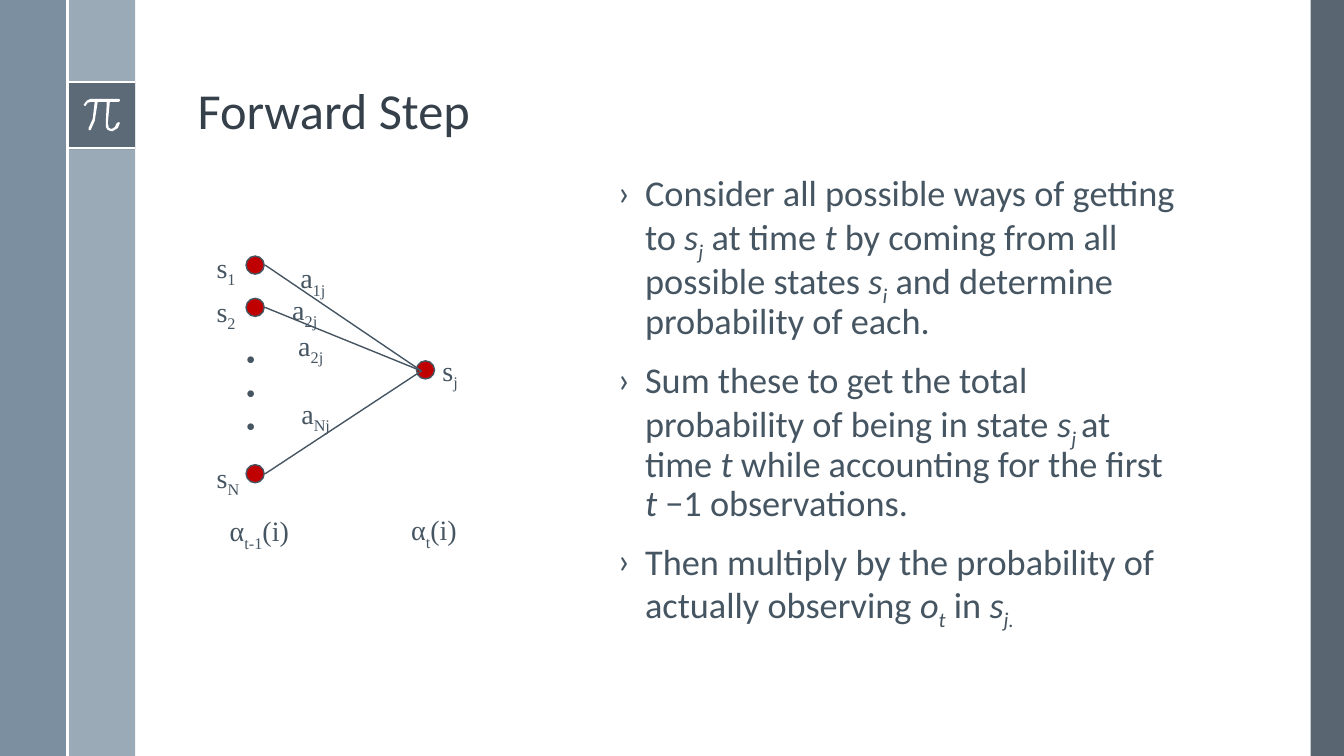
"""Build the Forward Step slide: a state diagram beside three explanatory bullets."""
from dataclasses import dataclass
from typing import NamedTuple, Sequence, Union

from lxml import etree
from pptx import Presentation
from pptx import util as u
from pptx.dml import color
from pptx.enum import shapes, text
from pptx.oxml import ns
from pptx.shapes import shapetree

Shapes = Union[shapetree.SlideShapes, shapetree.GroupShapes]


@dataclass(frozen=True)
class Theme:
    ink: str = "465562"
    heading: str = "35404A"
    slate: str = "475562"
    steel: str = "6A8093"
    mist: str = "9BAAB7"
    white: str = "FFFFFF"
    node: str = "C00000"
    sans: str = "Calibri"
    serif: str = "Times New Roman"
    title_size: float = 36
    body_size: float = 25.9
    label_size: float = 20
    rule_width: float = 1.5
    edge_width: float = 1


class Bar(NamedTuple):
    left: float
    top: float
    width: float
    height: float
    fill: str
    opacity: int


class Rule(NamedTuple):
    x1: float
    y1: float
    x2: float
    y2: float


class Node(NamedTuple):
    x: float
    y: float


class Span(NamedTuple):
    text: str
    italic: bool = False
    sub: bool = False


class Label(NamedTuple):
    left: float
    top: float
    width: float
    base: str
    sub: str
    tail: str = ""


class Style(NamedTuple):
    font: str
    size: float
    ink: str


THEME = Theme()
LABEL_STYLE = Style(THEME.serif, THEME.label_size, THEME.ink)
BODY_STYLE = Style(THEME.sans, THEME.body_size, THEME.ink)
TITLE_STYLE = Style(THEME.sans, THEME.title_size, THEME.heading)

BARS = [
    Bar(13, 0, 0.33, 7.5, THEME.slate, 90),
    Bar(0.67, 0, 0.67, 7.5, THEME.mist, 100),
    Bar(0, 0, 0.67, 7.5, THEME.steel, 88),
    Bar(0.67, 0.81, 0.67, 0.67, THEME.slate, 75),
]
RULES = [Rule(0.67, 0.81, 1.34, 0.81), Rule(0.67, 1.47, 1.34, 1.47), Rule(0.67, 0, 0.67, 7.5)]
PI_OUTLINE = [
    (118, 98), (90, 98), (86, 100), (83, 104), (84, 105), (85, 105), (87, 102), (90, 101),
    (94, 101), (92, 118), (88, 127), (88, 129), (89, 129), (90, 129), (94, 120), (97, 101),
    (106, 101), (105, 122), (105, 126), (107, 129), (110, 130), (112, 130), (117, 127),
    (119, 122), (118, 121), (116, 122), (114, 126), (111, 128), (108, 127), (107, 122),
    (109, 101), (118, 101), (119, 100), (119, 99),
]

SOURCES = [Node(2.53, 2.63), Node(2.53, 3.05), Node(2.53, 4.7)]
TARGET = Node(4.22, 3.67)
NODE_SIZE = 0.18
LABELS = [
    Label(2.05, 2.44, 0.4, "s", "1"),
    Label(2.05, 2.87, 0.4, "s", "2"),
    Label(2.05, 4.52, 0.45, "s", "N"),
    Label(4.29, 3.46, 0.37, "s", "j"),
    Label(2.18, 5.05, 0.86, "α", "t-1", "(i)"),
    Label(3.98, 5.04, 0.7, "α", "t", "(i)"),
    Label(2.88, 2.54, 0.5, "a", "1j"),
    Label(2.8, 2.85, 0.5, "a", "2j"),
    Label(2.86, 3.21, 0.5, "a", "2j"),
    Label(2.89, 3.88, 0.54, "a", "Nj"),
]
BULLETS = [
    [Span("Consider all possible ways of getting to "), Span("s", True), Span("j", True, True),
     Span(" at time "), Span("t", True), Span(" by coming from all possible states "),
     Span("s", True), Span("i", True, True), Span(" and determine probability of each.")],
    [Span("Sum these to get the total probability of being in state "), Span("s", True),
     Span("j ", True, True), Span("at time "), Span("t", True),
     Span(" while accounting for the first "), Span("t", True), Span(" −1 observations.")],
    [Span("Then multiply by the probability of actually observing "), Span("o", True),
     Span("t", True, True), Span(" in "), Span("s", True), Span("j.", True, True)],
]


def rgb(value: str) -> color.RGBColor:
    return color.RGBColor.from_string(value)


def write(para, spans: Sequence[Span], style: Style) -> None:
    for part in spans:
        span = para.add_run()
        span.text = part.text
        span.font.name = style.font
        span.font.size = u.Pt(style.size)
        span.font.color.rgb = rgb(style.ink)
        span.font.italic = part.italic
        if part.sub:
            span.font._element.set("baseline", "-25000")


def paint(shape, fill: str, opacity: int = 100) -> None:
    shape.shadow.inherit = False
    shape.fill.solid()
    shape.fill.fore_color.rgb = rgb(fill)
    shape.line.fill.background()
    if opacity < 100:
        solid = shape._element.spPr.find(ns.qn("a:solidFill"))
        etree.SubElement(solid[0], ns.qn("a:alpha"), val=str(opacity * 1000))


def add_bar(parent: Shapes, bar: Bar) -> None:
    box = parent.add_shape(shapes.MSO_SHAPE.RECTANGLE, *map(u.Inches, bar[:4]))
    paint(box, bar.fill, bar.opacity)


def add_line(parent: Shapes, rule: Rule, ink: str, width: float) -> None:
    line = parent.add_connector(shapes.MSO_CONNECTOR.STRAIGHT, *map(u.Inches, rule))
    line.line.color.rgb = rgb(ink)
    line.line.width = u.Pt(width)
    etree.SubElement(line._element.spPr, ns.qn("a:effectLst"))


def add_pi(parent: Shapes) -> None:
    builder = parent.build_freeform(*PI_OUTLINE[0], scale=u.Inches(0.01))
    builder.add_line_segments(PI_OUTLINE[1:], close=True)
    paint(builder.convert_to_shape(), THEME.white)


def add_node(parent: Shapes, node: Node) -> None:
    corner = (node.x - NODE_SIZE / 2, node.y - NODE_SIZE / 2)
    dot = parent.add_shape(shapes.MSO_SHAPE.OVAL, *map(u.Inches, (*corner, NODE_SIZE, NODE_SIZE)))
    paint(dot, THEME.node)
    dot.line.color.rgb = rgb(THEME.ink)
    dot.line.width = u.Pt(THEME.edge_width)


def add_text(parent: Shapes, frame: tuple[float, float, float, float],
             paragraphs: Sequence[Sequence[Span]], style: Style, wrap: bool = False):
    box = parent.add_textbox(*map(u.Inches, frame)).text_frame
    box.word_wrap = wrap
    box.auto_size = text.MSO_AUTO_SIZE.NONE if wrap else text.MSO_AUTO_SIZE.SHAPE_TO_FIT_TEXT
    for index, spans in enumerate(paragraphs):
        para = box.add_paragraph() if index else box.paragraphs[0]
        write(para, spans, style)
    return box


def add_diagram(parent: Shapes) -> None:
    for node in [*SOURCES, TARGET]:
        add_node(parent, node)
    for node in SOURCES:
        edge = Rule(node.x + 0.1, node.y, TARGET.x - 0.04, TARGET.y + 0.01)
        add_line(parent, edge, THEME.ink, THEME.edge_width)
    for label in LABELS:
        spans = [Span(label.base), Span(label.sub, sub=True)]
        if label.tail:
            spans.append(Span(label.tail))
        add_text(parent, (label.left, label.top, label.width, 0.44), [spans], LABEL_STYLE)
    add_text(parent, (2.34, 3.34, 0.33, 1.11), [[Span("•")]] * 3, LABEL_STYLE)


def add_bullets(parent: Shapes) -> None:
    box = add_text(parent, (6.03, 1.69, 5.8, 5.26), BULLETS, BODY_STYLE, wrap=True)
    indent = u.Inches(0.27)
    for para in box.paragraphs:
        para.line_spacing = 0.9
        para.space_before = u.Pt(14)
        props = para._p.get_or_add_pPr()
        props.set("marL", str(indent))
        props.set("indent", str(-indent))
        etree.SubElement(props, ns.qn("a:buFont"), typeface=THEME.sans)
        etree.SubElement(props, ns.qn("a:buChar"), char="›")


def set_title(title) -> None:
    title.left, title.top, title.width, title.height = map(u.Inches, (1.86, 0.36, 8.5, 1.08))
    box = title.text_frame
    box.auto_size = text.MSO_AUTO_SIZE.NONE
    box.vertical_anchor = text.MSO_ANCHOR.BOTTOM
    para = box.paragraphs[0]
    para.alignment = text.PP_ALIGN.LEFT
    para.line_spacing = 0.9
    write(para, [Span("Forward Step")], TITLE_STYLE)


def main() -> None:
    deck = Presentation()
    deck.slide_width, deck.slide_height = u.Inches(13.33), u.Inches(7.5)
    page = deck.slides.add_slide(deck.slide_layouts[5])
    for bar in BARS:
        add_bar(page.shapes, bar)
    for rule in RULES:
        add_line(page.shapes, rule, THEME.white, THEME.rule_width)
    add_pi(page.shapes)
    set_title(page.shapes.title)
    add_diagram(page.shapes.add_group_shape().shapes)
    add_bullets(page.shapes)
    deck.save("out.pptx")


if __name__ == "__main__":
    main()
